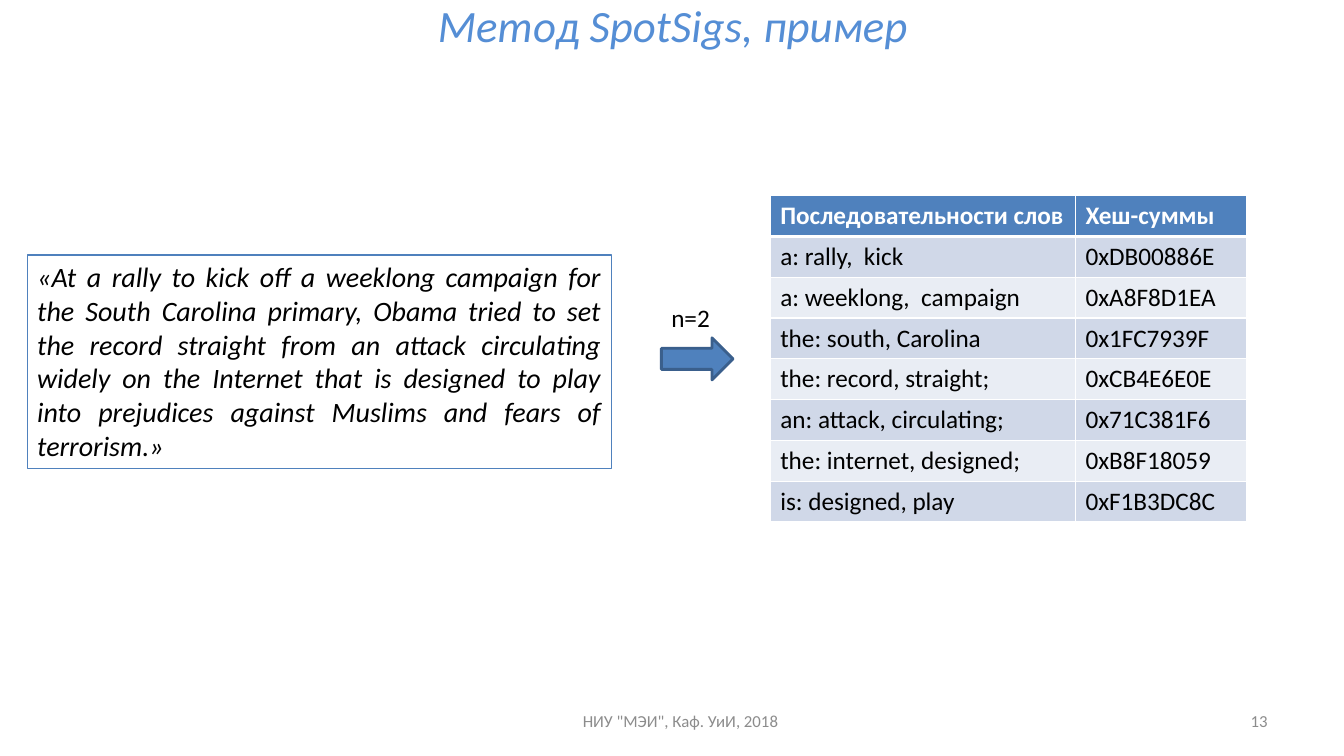
from lxml.etree import SubElement
from pptx import Presentation
from pptx.dml.color import RGBColor
from pptx.enum.shapes import MSO_SHAPE
from pptx.enum.text import MSO_ANCHOR, PP_ALIGN
from pptx.oxml.ns import qn
from pptx.util import Inches, Pt

WIDE, HIGH = Inches(13.33), Inches(7.5)
FONT = "Calibri"
BLACK = RGBColor(0x00, 0x00, 0x00)
WHITE = RGBColor(0xFF, 0xFF, 0xFF)
GRAY = RGBColor(0x8C, 0x8C, 0x8C)
SKY = RGBColor(0x55, 0x8E, 0xD5)
BLUE = RGBColor(0x4F, 0x81, 0xBD)
NAVY = RGBColor(0x3A, 0x5F, 0x8C)
BANDS = RGBColor(0xE9, 0xED, 0xF4), RGBColor(0xD0, 0xD8, 0xE8)

QUOTE = (
    "«At a rally to kick off a weeklong campaign for the South Carolina primary, "
    "Obama tried to set the record straight from an attack circulating widely on "
    "the Internet that is designed to play into prejudices against Muslims and "
    "fears of terrorism.»"
)
ROWS = [
    ("Последовательности слов", "Хеш-суммы"),
    ("a: rally,  kick", "0xDB00886E"),
    ("a: weeklong,  campaign", "0xA8F8D1EA"),
    ("the: south, Carolina", "0x1FC7939F"),
    ("the: record, straight;", "0xCB4E6E0E"),
    ("an: attack, circulating;", "0x71C381F6"),
    ("the: internet, designed;", "0xB8F18059"),
    ("is: designed, play", "0xF1B3DC8C"),
]


def area(left, top, width, height):
    """Turn percents of the slide into a box of lengths."""
    return (int(WIDE * left / 100), int(HIGH * top / 100),
            int(WIDE * width / 100), int(HIGH * height / 100))


def write(frame, text, size, color, align=PP_ALIGN.LEFT, bold=False, italic=False):
    """Fill a text frame with one styled paragraph."""
    para = frame.paragraphs[0]
    para.text = text
    para.alignment = align
    font = para.font
    font.name, font.size = FONT, Pt(size)
    font.bold, font.italic = bold, italic
    font.color.rgb = color


def label(slide, box, text, size, color, align=PP_ALIGN.LEFT,
          anchor=MSO_ANCHOR.MIDDLE, wrap=True, italic=False):
    """Place a text box."""
    shape = slide.shapes.add_textbox(*box)
    frame = shape.text_frame
    frame.word_wrap = wrap
    frame.vertical_anchor = anchor
    write(frame, text, size, color, align, italic=italic)
    return shape


def quote(slide, box):
    """Place the framed sample text."""
    shape = label(slide, box, QUOTE, 20, BLACK, PP_ALIGN.JUSTIFY,
                  MSO_ANCHOR.TOP, italic=True)
    shape.line.color.rgb = BLUE
    shape.line.width = Pt(0.75)


def step(slide, box):
    """Place the arrow with its caption above."""
    left, top, width, height = box
    half = int(height * 0.49)
    arrow = slide.shapes.add_shape(MSO_SHAPE.RIGHT_ARROW, left, top + half,
                                   width, height - half)
    arrow.shadow.inherit = False
    arrow.fill.solid()
    arrow.fill.fore_color.rgb = BLUE
    arrow.line.color.rgb = NAVY
    arrow.line.width = Pt(2)
    label(slide, (left, top, int(width * 0.83), half), "n=2", 18, BLACK,
          anchor=MSO_ANCHOR.TOP, wrap=False)


def edge(cell, side, width):
    """Draw one white border of a cell."""
    props = cell._tc.get_or_add_tcPr()
    line = SubElement(props, qn(f"a:ln{side}"), w=str(Pt(width)))
    fill = SubElement(line, qn("a:solidFill"))
    SubElement(fill, qn("a:srgbClr"), val=str(WHITE))


def hashes(slide, box):
    """Place the table of word chains and hash sums."""
    left, top, width, height = box
    table = slide.shapes.add_table(len(ROWS), 2, *box).table
    first = int(width * 0.64)
    table.columns[0].width = first
    table.columns[1].width = width - first
    for r, row in enumerate(ROWS):
        head = r == 0
        table.rows[r].height = height // len(ROWS)
        for c, text in enumerate(row):
            cell = table.cell(r, c)
            for side in "LRTB":
                thick = (head and side == "B") or (r == 1 and side == "T")
                edge(cell, side, 3 if thick else 1)
            cell.fill.solid()
            cell.fill.fore_color.rgb = BLUE if head else BANDS[r % 2]
            write(cell.text_frame, text, 18, WHITE if head else BLACK, bold=head)


def footer(slide, box):
    """Place the centred note and the page number at the right."""
    left, top, width, height = box
    note = int(width * 0.54)
    label(slide, (left, top, note, height), 'НИУ "МЭИ", Каф. УиИ, 2018',
          12, GRAY, PP_ALIGN.CENTER)
    label(slide, (left + note, top, width - note, height), "13",
          12, GRAY, PP_ALIGN.RIGHT)


def main():
    """Build and save the slide."""
    deck = Presentation()
    deck.slide_width, deck.slide_height = WIDE, HIGH
    slide = deck.slides.add_slide(deck.slide_layouts[6])
    label(slide, area(2.03, 1.07, 96.1, 4.4), "Метод SpotSigs, пример",
          32, SKY, PP_ALIGN.CENTER, italic=True)
    quote(slide, area(2.03, 33.73, 43.44, 28.27))
    step(slide, area(49.21, 39.33, 5.33, 10.93))
    hashes(slide, area(57.31, 25.87, 35.48, 43.2))
    footer(slide, area(34.21, 92.67, 60.84, 5.33))
    deck.save("out.pptx")


if __name__ == "__main__":
    main()
